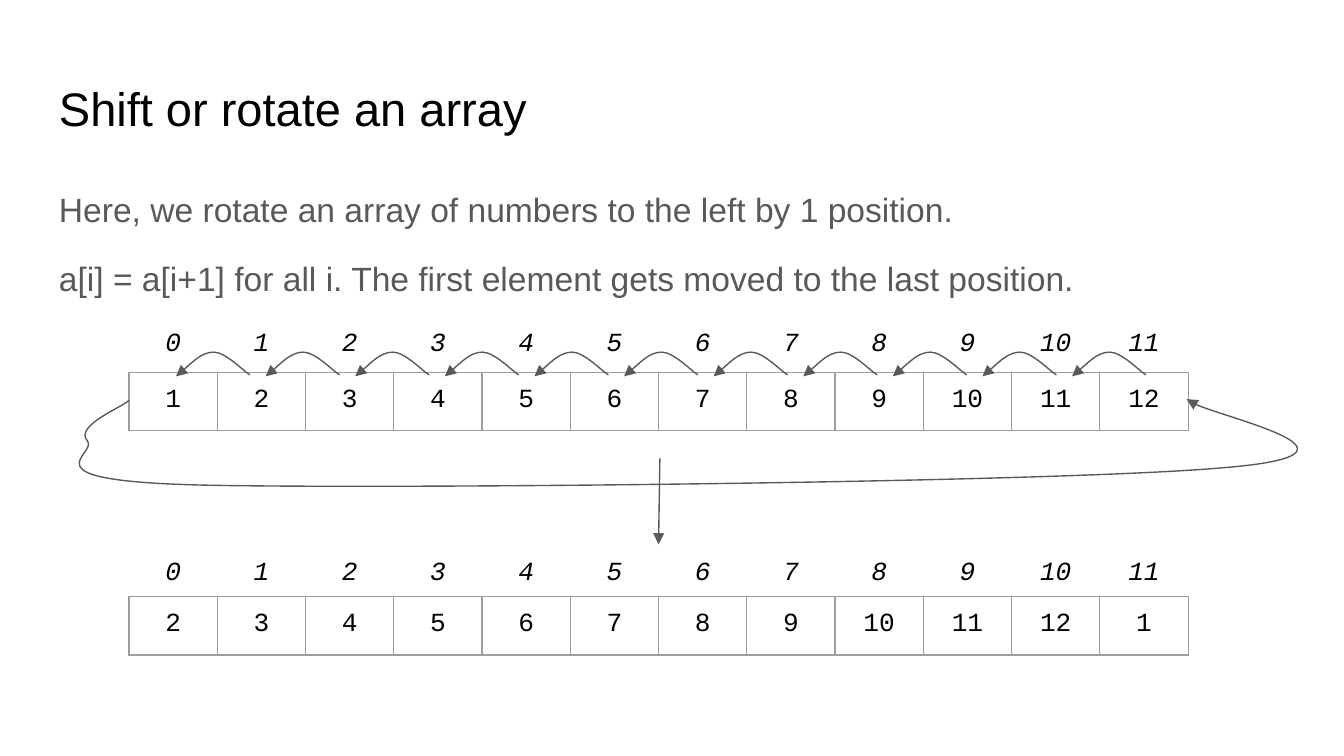
from pptx import Presentation
from pptx.dml.color import RGBColor
from pptx.enum.shapes import MSO_CONNECTOR
from pptx.enum.text import MSO_ANCHOR, PP_ALIGN
from pptx.oxml.ns import qn
from pptx.util import Inches, Pt
from lxml import etree

BLACK = RGBColor(0x00, 0x00, 0x00)
GRAY = RGBColor(0x59, 0x59, 0x59)
BORDER_GRAY = RGBColor(0x9E, 0x9E, 0x9E)
STRAIGHT = MSO_CONNECTOR.STRAIGHT
TOP, MIDDLE = MSO_ANCHOR.TOP, MSO_ANCHOR.MIDDLE
LEFT, CENTER = PP_ALIGN.LEFT, PP_ALIGN.CENTER

# The slide is a grid of 100 columns and 56.25 rows, each a tenth of an inch.
COLUMNS, ROWS = 100, 56.25
MARGIN = 3.4
ARRAY_LEFT, CELL_WIDTH, CELL_HEIGHT = 9.6, 6.57, 4.3
ARROW_STEP = 20 / 3
NUMBERS = list(range(1, 13))


def grid(units):
    return Inches(units / 10)


def write(paragraph, text, font="Arial", size=18, color=BLACK, italic=False,
          align=LEFT, line_spacing=1.0, space_before=0):
    paragraph.alignment = align
    paragraph.line_spacing = line_spacing
    paragraph.space_before = Pt(space_before)
    run = paragraph.add_run()
    run.text = text
    run.font.name = font
    run.font.size = Pt(size)
    run.font.italic = italic
    run.font.color.rgb = color


class ArraySlide:
    """Holds the line style and the slide being drawn; lengths are grid units."""

    line_color = GRAY
    line_width = Pt(0.75)
    inset = Inches(0.1)

    def __init__(self, presentation):
        self.slide = presentation.slides.add_slide(presentation.slide_layouts[6])
        self.shapes = self.slide.shapes

    def text(self, top, height, lines, anchor=TOP, gap=0, **style):
        box = self.shapes.add_textbox(grid(MARGIN), grid(top),
                                      grid(COLUMNS - 2 * MARGIN), grid(height))
        frame = box.text_frame
        frame.word_wrap = True
        frame.vertical_anchor = anchor
        frame.margin_left = frame.margin_right = self.inset
        frame.margin_top = frame.margin_bottom = self.inset
        for i, line in enumerate(lines):
            paragraph = frame.add_paragraph() if i else frame.paragraphs[0]
            write(paragraph, line, space_before=gap if i else 0, **style)

    def row(self, top, values, bordered=False, italic=False):
        table = self.shapes.add_table(
            1, len(values), grid(ARRAY_LEFT), grid(top),
            grid(CELL_WIDTH * len(values)), grid(CELL_HEIGHT)).table
        table.first_row = table.horz_banding = False
        for cell, value in zip(table.iter_cells(), values):
            cell.margin_left = cell.margin_right = self.inset
            cell.margin_top = cell.margin_bottom = self.inset
            self.border(cell, bordered)
            cell.fill.background()
            write(cell.text_frame.paragraphs[0], str(value), font="Courier New",
                  size=14, italic=italic, align=CENTER)

    def border(self, cell, visible):
        properties = cell._tc.get_or_add_tcPr()
        for side in ("a:lnL", "a:lnR", "a:lnT", "a:lnB"):
            edge = etree.SubElement(properties, qn(side), w=str(self.line_width))
            if visible:
                fill = etree.SubElement(edge, qn("a:solidFill"))
                etree.SubElement(fill, qn("a:srgbClr"), val=str(BORDER_GRAY))
            else:
                etree.SubElement(edge, qn("a:noFill"))

    def arrow_style(self, shape):
        shape.line.color.rgb = self.line_color
        shape.line.width = self.line_width
        etree.SubElement(shape.line._get_or_add_ln(), qn("a:tailEnd"), type="triangle")

    def arrow(self, start, end):
        line = self.shapes.add_connector(STRAIGHT, *map(grid, start + end))
        self.arrow_style(line)
        etree.SubElement(line._element.spPr, qn("a:effectLst"))

    def curved_arrow(self, start, *curves):
        """Each curve is two control points and an end point."""
        builder = self.shapes.build_freeform(*map(grid, start))
        builder.add_line_segments([tuple(map(grid, curve[-1])) for curve in curves],
                                  close=False)
        shape = builder.convert_to_shape()
        shape.shadow.inherit = False
        shape.fill.background()
        self.arrow_style(shape)
        segments = list(shape._element.iter(qn("a:lnTo")))
        for segment, curve in zip(segments, curves):
            bezier = etree.Element(qn("a:cubicBezTo"))
            for x, y in curve:
                etree.SubElement(bezier, qn("a:pt"), x=str(grid(x) - shape.left),
                                 y=str(grid(y) - shape.top))
            segment.getparent().replace(segment, bezier)


def main():
    presentation = Presentation()
    presentation.slide_width = grid(COLUMNS)
    presentation.slide_height = grid(ROWS)
    page = ArraySlide(presentation)

    page.text(4.9, 6.3, ["Shift or rotate an array"], anchor=MIDDLE, size=25.2)
    page.text(12.6, 37.4, [
        "Here, we rotate an array of numbers to the left by 1 position.",
        "a[i] = a[i+1] for all i. The first element gets moved to the last position.",
    ], gap=12, color=GRAY, line_spacing=1.15)

    rotated = NUMBERS[1:] + NUMBERS[:1]
    for values, values_top, indices_top in ((NUMBERS, 27.7, 23.5),
                                            (rotated, 44.4, 40.6)):
        page.row(values_top, values, bordered=True)
        page.row(indices_top, range(len(values)), italic=True)

    page.arrow((49.1, 34.1), (49, 40.5))
    for i in range(len(NUMBERS) - 1):
        x = 13.1 + i * ARROW_STEP
        page.curved_arrow(
            (x + 5.5, 27.9),
            ((x + 5, 27.6), (x + 3.7, 26.2), (x + 2.8, 26.2)),
            ((x + 1.9, 26.2), (x + 0.4, 27.7), (x, 28)))
    page.curved_arrow(
        (9.6, 29.8),
        ((9.1, 30.3), (5.5, 31.7), (6.5, 32.8)),
        ((7.4, 33.8), (1.2, 35.8), (15.3, 36.1)),
        ((29.5, 36.4), (78.9, 35.9), (91.1, 34.8)),
        ((103.3, 33.8), (88.8, 30.6), (88.3, 29.7)))

    presentation.save("out.pptx")


if __name__ == "__main__":
    main()
